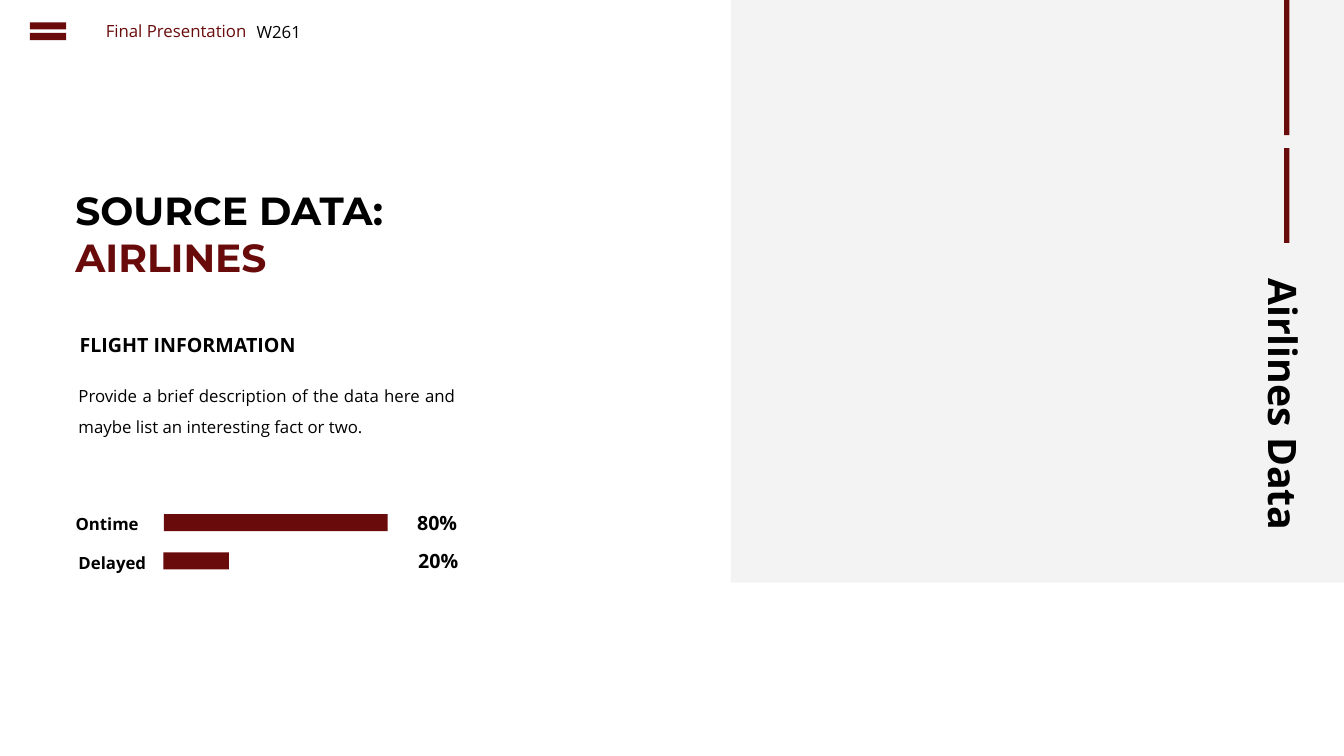
from lxml import etree
from pptx import Presentation
from pptx import util as u
from pptx.dml.color import RGBColor
from pptx.enum import shapes, text
from pptx.oxml.ns import qn

WIDTH, HEIGHT = u.Inches(13.333), u.Inches(7.5)
MAROON, BLACK, GREY = "690B0B", "000000", "F2F2F2"
BODY_FONT, TITLE_FONT = "Open Sans", "Montserrat"
ROW_PITCH = 5.07


def color(hex_code):
    return RGBColor.from_string(hex_code)


def place(x, y, w, h):
    """Turn percentages of the slide's width and height into lengths."""
    return [int(share * side / 100)
            for share, side in zip((x, y, w, h), (WIDTH, HEIGHT) * 2)]


def add_block(s, box, fill=MAROON, kind=shapes.MSO_SHAPE.RECTANGLE, opacity=100):
    sp = s.shapes.add_shape(kind, *place(*box))
    sp.shadow.inherit = False
    sp.line.fill.background()
    sp.fill.solid()
    sp.fill.fore_color.rgb = color(fill)
    if opacity < 100:
        clr = sp.fill._xPr.find(qn("a:solidFill"))[0]
        etree.SubElement(clr, qn("a:alpha")).set("val", str(opacity * 1000))


def add_text(s, box, lines, size=12, bold=False, font=BODY_FONT, align=None,
             spacing=None, wrap=True, rotation=0):
    """Add a text box with one paragraph per (words, colour) pair."""
    sp = s.shapes.add_textbox(*place(*box))
    sp.rotation = rotation
    tf = sp.text_frame
    tf.word_wrap = wrap
    tf.auto_size = text.MSO_AUTO_SIZE.SHAPE_TO_FIT_TEXT
    for i, (words, hex_code) in enumerate(lines):
        p = tf.add_paragraph() if i else tf.paragraphs[0]
        p.alignment = align
        p.line_spacing = spacing
        r = p.add_run()
        r.text = words
        r.font.name = font
        r.font.size = u.Pt(size)
        r.font.bold = bold
        r.font.color.rgb = color(hex_code)


def add_share_row(s, row, label, label_x, bar_x, bar_width, value):
    """Add a label, its bar and its percentage on the given row."""
    drop = row * ROW_PITCH
    add_block(s, (bar_x, 68 + drop, bar_width, 2.27))
    add_text(s, (label_x, 66 + drop, 7.35, 4.93), [(label, BLACK)],
             bold=True, spacing=1.5)
    add_text(s, (30.3 + row * 0.08, 65.33 + drop, 5.25, 5.6), [(value, BLACK)],
             size=14, bold=True, spacing=1.5)


def add_header(s):
    add_block(s, (1.73, 2.13, 3.68, 4), kind=shapes.MSO_SHAPE.MATH_EQUAL)
    add_text(s, (7.13, 2.13, 12.15, 4), [("Final Presentation", MAROON)], wrap=False)
    add_text(s, (18.3, 2.27, 4.88, 4), [("W261", BLACK)], wrap=False,
             align=text.PP_ALIGN.CENTER)


def add_side_panel(s):
    add_block(s, (54.38, 0, 45.62, 77.07), fill=GREY, opacity=90)
    for top, height in ((0, 17.87), (19.6, 12.53)):
        add_block(s, (95.55, top, 0.38, height))
    add_text(s, (83.55, 52.93, 23.92, 7.6), [("Airlines Data", BLACK)],
             size=28, bold=True, rotation=90)


def main():
    prs = Presentation()
    prs.slide_width, prs.slide_height = WIDTH, HEIGHT
    s = prs.slides.add_slide(prs.slide_layouts[6])
    add_side_panel(s)
    add_header(s)
    add_text(s, (4.88, 24, 27.98, 13.87),
             [("SOURCE DATA:", BLACK), ("AIRLINES", MAROON)],
             size=28, bold=True, font=TITLE_FONT)
    add_text(s, (5.18, 41.87, 19.35, 5.6), [("FLIGHT INFORMATION", BLACK)],
             size=14, bold=True, spacing=1.5)
    add_text(s, (5.1, 49.07, 29.55, 13.07),
             [("Provide a brief description of the data here and maybe list "
               "an interesting fact or two.", BLACK)],
             align=text.PP_ALIGN.JUSTIFY, spacing=1.5)
    add_share_row(s, 0, "Ontime", 4.88, 12.2, 16.65, "80%")
    add_share_row(s, 1, "Delayed", 5.1, 12.15, 4.88, "20%")
    prs.save("out.pptx")


if __name__ == "__main__":
    main()
